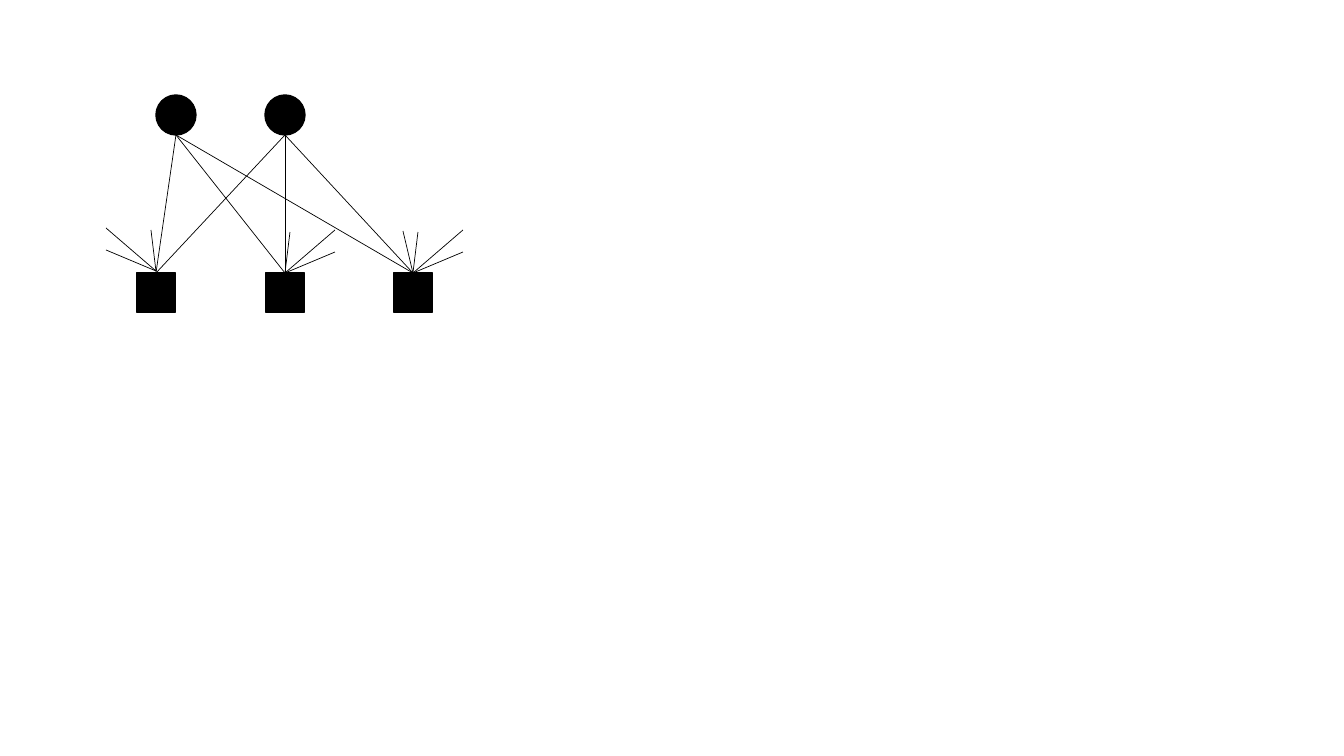
from pptx import Presentation
from pptx.dml.color import RGBColor
from pptx.enum.shapes import MSO_CONNECTOR, MSO_SHAPE
from pptx.oxml.ns import qn
from pptx.util import Pt
from lxml import etree

BLACK = RGBColor(0, 0, 0)
OVAL, RECT = MSO_SHAPE.OVAL, MSO_SHAPE.RECTANGLE
LINE = MSO_CONNECTOR.STRAIGHT
WIDE, HIGH = 1344, 756
SCALE = 12192000 / WIDE


def px(*nums):
    return [round(n * SCALE) for n in nums]


def link(shapes, *ends):
    line = shapes.add_connector(LINE, *px(*ends))
    line.line.color.rgb = BLACK
    line.line.width = Pt(0.5)
    etree.SubElement(line._element.spPr, qn("a:effectLst"))


deck = Presentation()
deck.slide_width, deck.slide_height = px(WIDE, HIGH)
slide = deck.slides.add_slide(deck.slide_layouts[6])
shapes = slide.shapes

# Node centres along each row
tops = [176, 285]
bases = [156, 285, 413]
TOP_Y, TOP_SIZE = 95, 40
BASE_Y, BASE_SIZE = 273, 39

# Every circle joins every square
for top in tops:
    for base in bases:
        link(shapes, top, TOP_Y + TOP_SIZE, base, BASE_Y)

# Short fans of open links, the first one turned left
for base, side, lift in zip(bases, [-1, 1, 1], [2, 0, 0]):
    fan = shapes.add_group_shape()
    for run, rise in [(50, 21), (50, 43), (5, 41)]:
        end = BASE_Y - lift
        link(fan.shapes, base + side * run, end - rise, base, end)
link(shapes, bases[-1] - 10, BASE_Y - 42, bases[-1], BASE_Y)

# Circles and squares
for kind, row, y, size in [(OVAL, tops, TOP_Y, TOP_SIZE),
                           (RECT, bases, BASE_Y, BASE_SIZE)]:
    for mid in row:
        node = shapes.add_shape(kind, *px(mid - size / 2, y, size, size))
        node.shadow.inherit = False
        node.fill.solid()
        node.fill.fore_color.rgb = BLACK
        node.line.color.rgb = BLACK
        node.line.width = Pt(1)

deck.save("out.pptx")
